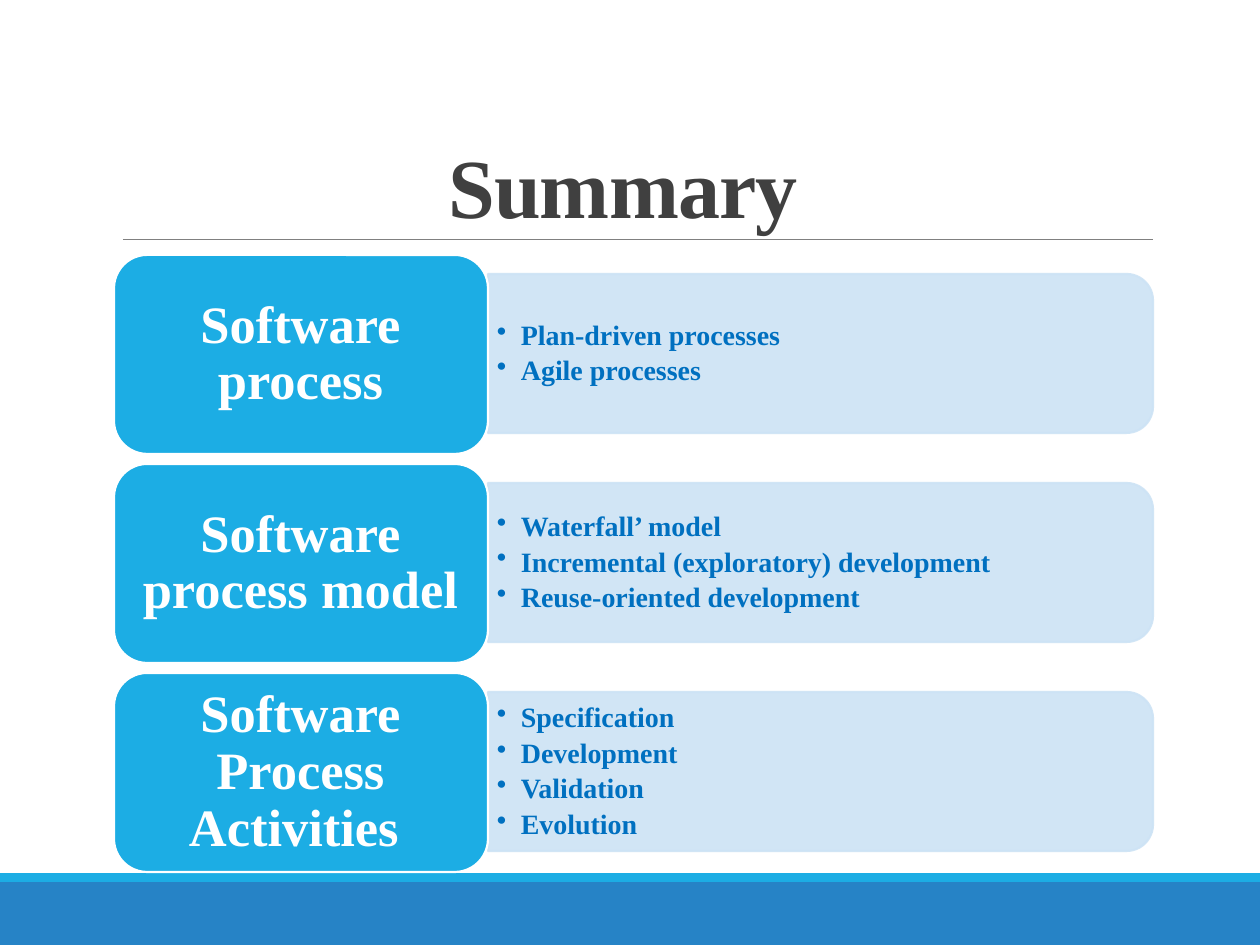
"""Build the summary slide: three topic cards with their bullet panels."""
from dataclasses import dataclass

from lxml import etree
from pptx import Presentation, util as u
from pptx.dml.color import RGBColor
from pptx.enum import shapes as sh, text as tx
from pptx.oxml import ns


@dataclass(frozen=True)
class Theme:
    font: str = "Times New Roman"
    title: str = "404040"
    rule: str = "808080"
    card: str = "1CADE4"
    band: str = "2683C6"
    panel: str = "CDE3F5"
    item: str = "0070C0"
    white: str = "FFFFFF"
    big: int = 48
    head: int = 30
    small: int = 16


@dataclass(frozen=True)
class Box:
    x: int
    y: int
    w: int
    h: int

    def emu(self) -> list[u.Emu]:
        return [px(v) for v in (self.x, self.y, self.w, self.h)]


@dataclass(frozen=True)
class Topic:
    name: str
    items: tuple[str, ...]


@dataclass(frozen=True)
class Style:
    size: int
    color: str
    pad: tuple[int, int]
    lead: float
    after: float = 0
    mid: bool = True
    bullet: bool = False


THEME = Theme()
SCALE = 914400 / 126
TOP, STEP = 255, 209
TITLE = Style(THEME.big, THEME.title, (13, 6), 0.85, mid=False)
HEAD = Style(THEME.head, THEME.white, (15, 8), 0.9)
ITEM = Style(THEME.small, THEME.item, (9, 4), 0.9, 3, bullet=True)
TOPICS = (
    Topic("Software process", ("Plan-driven processes", "Agile processes")),
    Topic("Software process model ", (
        "Waterfall’ model",
        "Incremental (exploratory) development",
        "Reuse-oriented development",
    )),
    Topic("Software Process Activities ", (
        "Specification", "Development", "Validation", "Evolution",
    )),
)


def px(val: int) -> u.Emu:
    return u.Emu(round(val * SCALE))


def rgb(code: str) -> RGBColor:
    return RGBColor.from_string(code)


def add_shape(slide, kind, box: Box, fill: str, line: str = ""):
    shape = slide.shapes.add_shape(kind, *box.emu())
    shape.shadow.inherit = False
    shape.fill.solid()
    shape.fill.fore_color.rgb = rgb(fill)
    if line:
        shape.line.color.rgb = rgb(line)
        shape.line.width = u.Pt(1.25)
    else:
        shape.line.fill.background()
    return shape


def add_text(slide, box: Box, lines: tuple[str, ...], style: Style):
    frame = slide.shapes.add_textbox(*box.emu()).text_frame
    frame.word_wrap = True
    frame.margin_left = frame.margin_right = px(style.pad[0])
    frame.margin_top = frame.margin_bottom = px(style.pad[1])
    anchor = tx.MSO_ANCHOR
    frame.vertical_anchor = anchor.MIDDLE if style.mid else anchor.BOTTOM
    frame.text = "\n".join(lines)
    for para in frame.paragraphs:
        para.line_spacing = style.lead
        para.space_after = u.Pt(style.after)
        if style.bullet:
            add_bullet(para)
        else:
            para.alignment = tx.PP_ALIGN.CENTER
        for run in para.runs:
            font = run.font
            font.name, font.size, font.bold = THEME.font, u.Pt(style.size), True
            font.color.rgb = rgb(style.color)
    return frame


def add_bullet(para) -> None:
    para.level = 1
    prop = para._p.get_or_add_pPr()
    prop.set("marL", str(px(24)))
    prop.set("indent", str(px(-24)))
    etree.SubElement(prop, ns.qn("a:buChar")).set("char", "•")


def add_panel(slide, box: Box) -> None:
    turn = Box(box.x + (box.w - box.h) // 2, box.y - (box.w - box.h) // 2,
               box.h, box.w)
    kind = sh.MSO_SHAPE.ROUND_2_SAME_RECTANGLE
    shape = add_shape(slide, kind, turn, THEME.panel, THEME.panel)
    shape.rotation = 90
    for color in shape._element.spPr.iter(ns.qn("a:srgbClr")):
        etree.SubElement(color, ns.qn("a:alpha")).set("val", "90000")


def add_topic(slide, topic: Topic, top: int) -> None:
    add_panel(slide, Box(488, top + 19, 665, 159))
    add_text(slide, Box(488, top + 27, 658, 144), topic.items, ITEM)
    card = sh.MSO_SHAPE.ROUNDED_RECTANGLE
    add_shape(slide, card, Box(114, top, 374, 199), THEME.card, THEME.white)
    add_text(slide, Box(123, top + 10, 355, 179), (topic.name,), HEAD)


def add_rule(slide, x: int, y: int, end: int) -> None:
    kind = sh.MSO_CONNECTOR.STRAIGHT
    rule = slide.shapes.add_connector(kind, px(x), px(y), px(end), px(y))
    rule.line.color.rgb = rgb(THEME.rule)
    rule.line.width = u.Pt(0.5)
    etree.SubElement(rule._element.spPr, ns.qn("a:effectLst"))


def main() -> None:
    deck = Presentation()
    deck.slide_width, deck.slide_height = px(1260), px(945)
    slide = deck.slides.add_slide(deck.slide_layouts[6])
    rect = sh.MSO_SHAPE.RECTANGLE
    add_shape(slide, rect, Box(0, 882, 1260, 63), THEME.band)
    add_shape(slide, rect, Box(0, 873, 1260, 9), THEME.card)
    add_rule(slide, 123, 239, 1153)
    title = add_text(slide, Box(113, 42, 1040, 200), ("Summary ",), TITLE)
    title.paragraphs[0].runs[0]._r.get_or_add_rPr().set("spc", "-50")
    for row, topic in enumerate(TOPICS):
        add_topic(slide, topic, TOP + row * STEP)
    deck.save("out.pptx")


if __name__ == "__main__":
    main()
